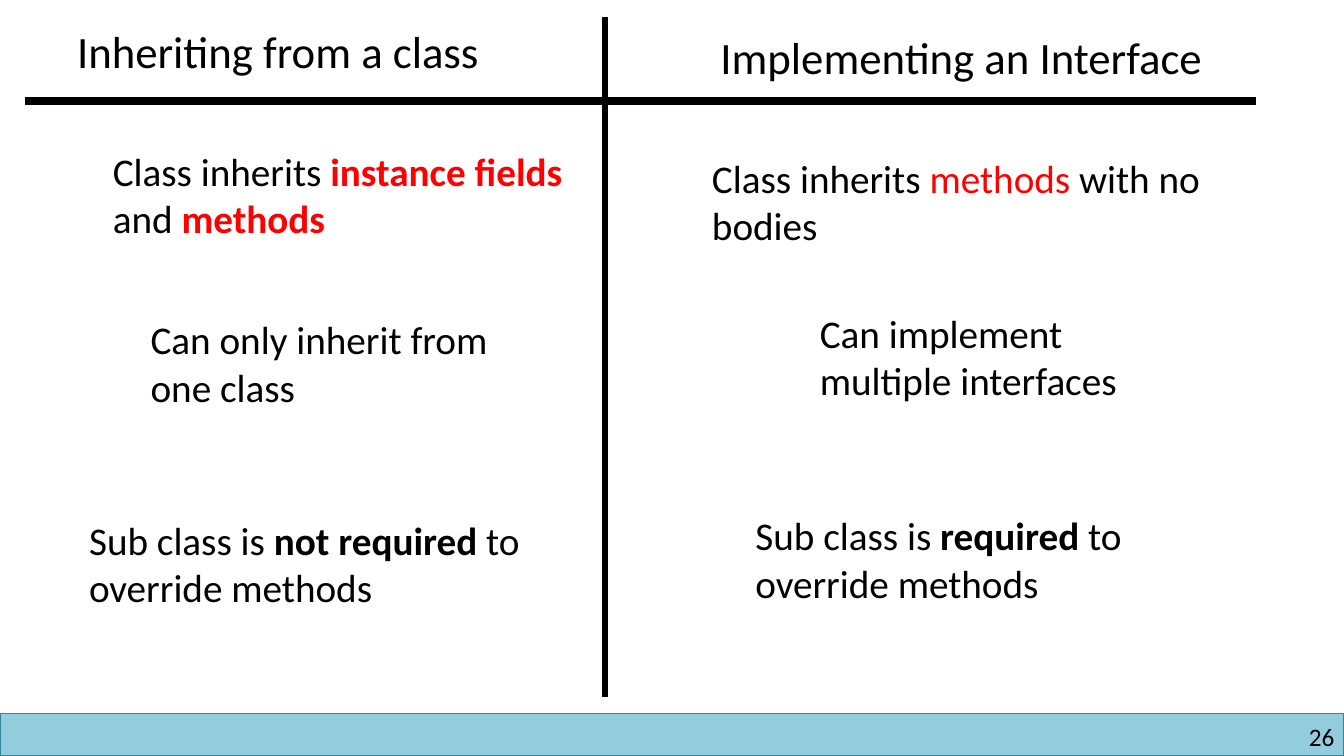
import dataclasses

import pptx
import pptx.dml.color
import pptx.enum.shapes
import pptx.enum.text
import pptx.oxml
import pptx.util

Pt = pptx.util.Pt


@dataclasses.dataclass(frozen=True)
class Theme:
    """Colours, font and type sizes of the slide."""
    font: str = "Calibri"
    ink: str = "000000"
    accent: str = "FF0000"
    band: str = "93CDDD"
    band_edge: str = "31859C"
    heading: int = 32
    body: int = 28
    page_number: int = 18


def rgb(value):
    """Turn a hex string into a colour."""
    return pptx.dml.color.RGBColor.from_string(value)


def add_run(paragraph, text, *, font, size, color, bold=False):
    """Append a formatted run to a paragraph."""
    run = paragraph.add_run()
    run.text = text
    run.font.name = font
    run.font.size = Pt(size)
    run.font.bold = bold
    run.font.color.rgb = rgb(color)


class Comparison:
    """Draws the parts of a two-sided comparison on one slide."""

    def __init__(self, slide, theme):
        """Keep the slide and its theme."""
        self.shapes = slide.shapes
        self.theme = theme

    def band(self, left, top, width, height):
        """Draw the footer band."""
        footer = self.shapes.add_shape(
            pptx.enum.shapes.MSO_SHAPE.RECTANGLE, Pt(left), Pt(top), Pt(width), Pt(height))
        footer.shadow.inherit = False
        footer.fill.solid()
        footer.fill.fore_color.rgb = rgb(self.theme.band)
        footer.line.color.rgb = rgb(self.theme.band_edge)
        footer.line.width = Pt(1)

    def rule(self, x1, y1, x2, y2, weight):
        """Draw a straight dividing line."""
        divider = self.shapes.add_connector(
            pptx.enum.shapes.MSO_CONNECTOR.STRAIGHT, Pt(x1), Pt(y1), Pt(x2), Pt(y2))
        divider.line.color.rgb = rgb(self.theme.ink)
        divider.line.width = Pt(weight)
        properties = divider._element.spPr
        properties.append(properties.makeelement(pptx.oxml.ns.qn("a:effectLst"), {}))

    def text(self, left, top, width, height, runs, size, wrap=True, inset=True, align="LEFT"):
        """Write runs of (text, format) in a text box."""
        frame = self.shapes.add_textbox(Pt(left), Pt(top), Pt(width), Pt(height)).text_frame
        frame.word_wrap = wrap
        frame.auto_size = pptx.enum.text.MSO_AUTO_SIZE.SHAPE_TO_FIT_TEXT
        if not inset:
            frame.margin_left = frame.margin_right = frame.margin_top = frame.margin_bottom = 0
        paragraph = frame.paragraphs[0]
        paragraph.alignment = getattr(pptx.enum.text.PP_ALIGN, align)
        for words, look in runs:
            style = {"font": self.theme.font, "size": size, "color": self.theme.ink, **look}
            add_run(paragraph, words, **style)

    def heading(self, left, top, width, title):
        """Write a column heading."""
        self.text(left, top, width, 46, [(title, {})], self.theme.heading, wrap=False)

    def point(self, left, top, width, *runs):
        """Write one compared point."""
        self.text(left, top, width, 75, runs, self.theme.body)


def main():
    """Build and save the slide."""
    deck = pptx.Presentation()
    deck.slide_width, deck.slide_height = Pt(960), Pt(540)
    theme = Theme()
    page = Comparison(deck.slides.add_slide(deck.slide_layouts[6]), theme)
    plain, bold, red = {}, {"bold": True}, {"color": theme.accent}
    bold_red = {**bold, **red}

    page.band(0, 509.75, 960, 30.25)
    page.text(732, 515, 221.2, 21.6, [("26", plain)], theme.page_number,
              inset=False, align="RIGHT")
    page.rule(432, 12, 432, 498, 4.5)
    page.rule(18, 72, 897, 72, 6)

    page.heading(48, 13.5, 330, "Inheriting from a class")
    page.point(73.5, 102, 354, ("Class inherits ", plain), ("instance fields", bold_red),
               (" and ", plain), ("methods", bold_red))
    page.point(100.5, 222, 264, ("Can only inherit from one class", plain))

    page.heading(507.5, 17.5, 387, "Implementing an Interface")
    page.point(501.5, 106.5, 404, ("Class inherits ", plain), ("methods", red),
               (" with no bodies", plain))
    page.point(578.5, 217.5, 264, ("Can implement multiple interfaces", plain))

    for left, top, duty in ((56.5, 365, "not required"), (532.5, 362, "required")):
        page.point(left, top, 342, ("Sub class is ", plain), (duty, bold),
                   (" to override methods", plain))

    deck.save("out.pptx")


if __name__ == "__main__":
    main()
